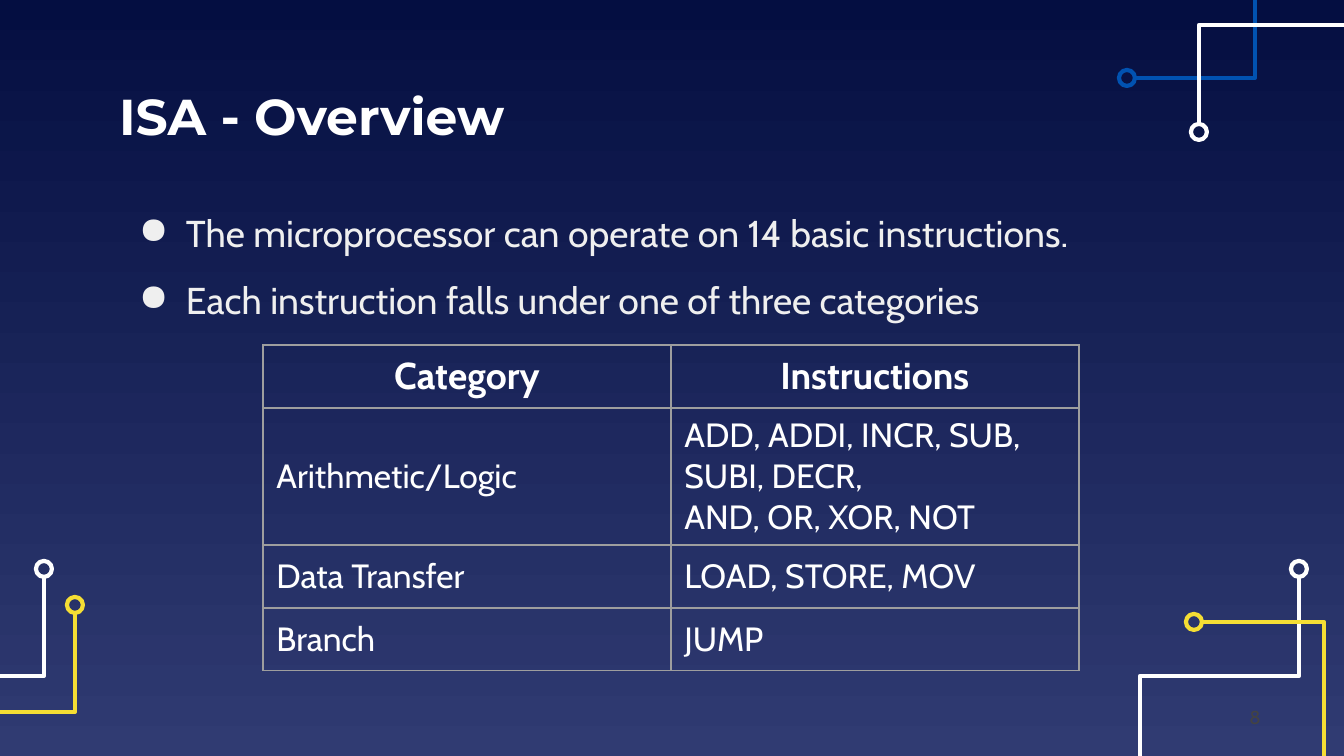
from lxml.etree import SubElement
from pptx import Presentation
from pptx.dml.color import RGBColor
from pptx.enum.shapes import MSO_SHAPE
from pptx.enum.text import MSO_ANCHOR, PP_ALIGN
from pptx.oxml.ns import qn
from pptx.util import Emu, Pt

SCALE = 914400 / 134.4
WIDTH, HEIGHT = 1344, 756
INSET = 13
RADIUS = 8

NAVY = RGBColor(0x04, 0x0E, 0x41)
INDIGO = RGBColor(0x30, 0x3B, 0x72)
WHITE = RGBColor(0xFF, 0xFF, 0xFF)
PALE = RGBColor(0xEF, 0xEF, 0xEF)
BLUE = RGBColor(0x01, 0x52, 0xB1)
YELLOW = RGBColor(0xF5, 0xDE, 0x34)
GRAY = RGBColor(0x9E, 0x9E, 0x9E)
DARK = RGBColor(0x43, 0x43, 0x43)

# Each trace starts at the centre of its ring.
TRACES = [
    (WHITE, [(1299, 569), (1299, 676), (1140, 676), (1140, 756)]),
    (BLUE, [(1127, 78), (1255, 78), (1255, 0)]),
    (WHITE, [(1199, 132), (1199, 25), (1344, 25)]),
    (YELLOW, [(1194, 622), (1324, 622), (1324, 756)]),
    (WHITE, [(44, 569), (44, 676), (0, 676)]),
    (YELLOW, [(75, 605), (75, 712), (0, 712)]),
]
POINTS = [
    "The microprocessor can operate on 14 basic instructions.",
    "Each instruction falls under one of three categories",
]
ROWS = [
    (63, "Category", "Instructions"),
    (137, "Arithmetic/Logic",
     "ADD, ADDI, INCR, SUB, SUBI, DECR,\nAND, OR, XOR, NOT"),
    (63, "Data Transfer", "LOAD, STORE, MOV"),
    (63, "Branch", "JUMP"),
]


def px(size):
    return Emu(round(size * SCALE))


def box(*sizes):
    return [px(size) for size in sizes]


def style(para, face, size, color, bold=False, align=PP_ALIGN.LEFT):
    para.alignment = align
    font = para.font
    font.name, font.size, font.bold = face, Pt(size), bold
    font.color.rgb = color


def frame(shape, anchor):
    """Set the wrap, anchor and insets of a shape's text."""
    text = shape.text_frame
    text.word_wrap = True
    text.vertical_anchor = anchor
    text.margin_left = text.margin_right = px(INSET)
    text.margin_top = text.margin_bottom = px(INSET)
    return text


def paint(slide):
    """Fill the background from navy down to indigo."""
    fill = slide.background.fill
    fill.gradient()
    fill.gradient_angle = 270
    for stop, place, color in zip(fill.gradient_stops, (0, 1), (NAVY, INDIGO)):
        stop.position = place
        stop.color.rgb = color


def outline(shape, color):
    shape.shadow.inherit = False
    shape.fill.background()
    shape.line.color.rgb = color
    shape.line.width = Pt(2.25)


def add_trace(slide, color, points):
    """Draw a ring and the bent line that leaves its edge."""
    (x, y), (next_x, next_y) = points[:2]
    if x == next_x:
        start = x, y + (RADIUS if next_y > y else -RADIUS)
    else:
        start = x + (RADIUS if next_x > x else -RADIUS), y
    path = slide.shapes.build_freeform(*start, scale=SCALE)
    path.add_line_segments(points[1:], close=False)
    outline(path.convert_to_shape(), color)
    ring = slide.shapes.add_shape(
        MSO_SHAPE.OVAL,
        *box(x - RADIUS, y - RADIUS, 2 * RADIUS, 2 * RADIUS))
    outline(ring, color)


def set_title(slide, words):
    title = slide.shapes.title
    title.left, title.top, title.width, title.height = box(106, 80, 1133, 70)
    text = frame(title, MSO_ANCHOR.MIDDLE)
    text.text = words
    style(text.paragraphs[0], "Montserrat", 27, WHITE, bold=True)


def add_bullet(para):
    props = para._p.get_or_add_pPr()
    props.set("marL", str(px(67)))
    props.set("indent", str(px(-47)))
    color = SubElement(props, qn("a:buClr"))
    SubElement(color, qn("a:srgbClr"), val=str(PALE))
    SubElement(props, qn("a:buChar"), char="●")


def add_body(slide, lines):
    shape = slide.shapes.add_textbox(*box(106, 175, 1133, 503))
    text = frame(shape, MSO_ANCHOR.TOP)
    text.text = "\n".join(lines)
    for para in text.paragraphs:
        add_bullet(para)
        para.line_spacing = 1.5
        style(para, "Cabin", 20, PALE)


def add_border(cell):
    props = cell._tc.get_or_add_tcPr()
    for side in ("lnL", "lnR", "lnT", "lnB"):
        line = SubElement(props, qn(f"a:{side}"), w=str(Pt(0.75)))
        fill = SubElement(line, qn("a:solidFill"))
        SubElement(fill, qn("a:srgbClr"), val=str(GRAY))


def add_grid(slide, rows):
    height = sum(row[0] for row in rows)
    shape = slide.shapes.add_table(
        len(rows), 2, *box(263, 345, 816, height))
    table = shape.table
    table.first_row = table.horz_banding = False
    for i, (tall, *words) in enumerate(rows):
        table.rows[i].height = px(tall)
        head = i == 0
        for cell, word in zip(table.rows[i].cells, words):
            add_border(cell)
            cell.fill.background()
            cell.vertical_anchor = MSO_ANCHOR.MIDDLE
            cell.text = word
            for para in cell.text_frame.paragraphs:
                style(para, "Cabin", 20 if head else 18, WHITE, head,
                      PP_ALIGN.CENTER if head else PP_ALIGN.LEFT)


def add_number(slide, number):
    shape = slide.shapes.add_textbox(*box(1215, 690, 80, 54))
    text = frame(shape, MSO_ANCHOR.MIDDLE)
    text.text = number
    style(text.paragraphs[0], "Cabin", 10, DARK, align=PP_ALIGN.CENTER)


def main():
    deck = Presentation()
    deck.slide_width, deck.slide_height = box(WIDTH, HEIGHT)
    slide = deck.slides.add_slide(deck.slide_layouts[5])
    paint(slide)
    for color, points in TRACES:
        add_trace(slide, color, points)
    set_title(slide, "ISA - Overview")
    add_body(slide, POINTS)
    add_grid(slide, ROWS)
    add_number(slide, "8")
    deck.save("out.pptx")


if __name__ == "__main__":
    main()
